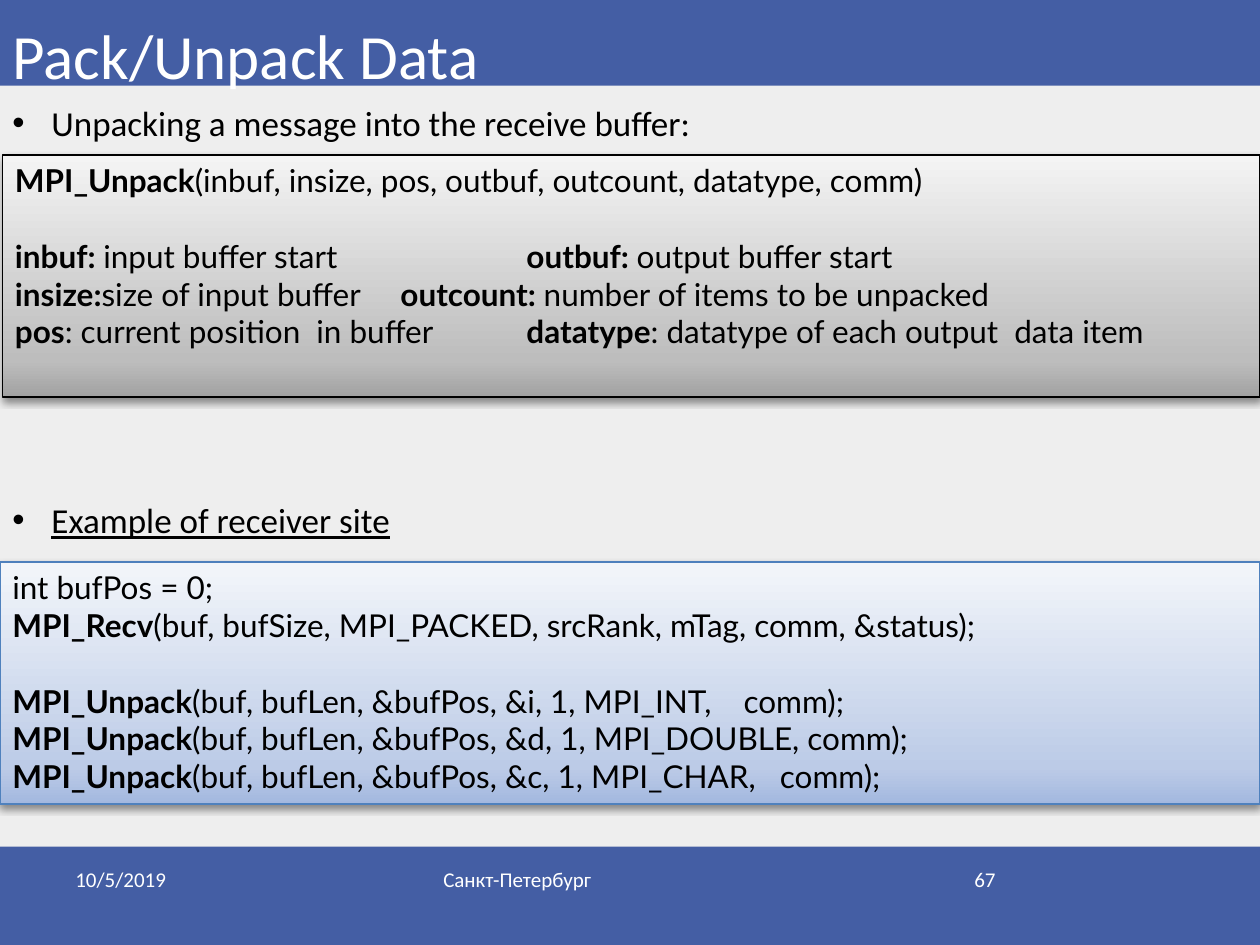
from pptx import Presentation, util as u
from pptx.dml.color import RGBColor
from pptx.enum import shapes, text
from pptx.oxml import parse_xml
from pptx.oxml.ns import nsdecls

BAR = RGBColor(0x44, 0x5E, 0xA4)
PAPER = RGBColor(0xEE, 0xEE, 0xEE)
WHITE = RGBColor(0xFF, 0xFF, 0xFF)
BLACK = RGBColor(0, 0, 0)
BLUE = RGBColor(0x4F, 0x81, 0xBD)
GRAY_STOPS = [(0, "A2A2A2"), (15, "BDBDBD"), (100, "F4F4F4")]
BLUE_STOPS = [(0, "A3B8DF"), (15, "BCCBE7"), (100, "F3F6FA")]

W, H = 10, 7.5
PANEL_H = 1.92
LINE_PT = 21.6  # height of one 18 pt Lato line

TITLE = "Pack/Unpack Data"
BARS = [(0, 0.68), (6.72, 0.78)]  # top, height
BULLETS = [  # text, top, width, underlined
    ("Unpacking a message into the receive buffer:", 0.76, 5.67, False),
    ("Example of receiver site", 3.91, 3.25, True),
]
FOOTER = [  # text, left, width, alignment
    ("10/5/2019", 0.5, 2.33, text.PP_ALIGN.LEFT),
    ("Санкт-Петербург", 3.42, 3.17, text.PP_ALIGN.LEFT),
    ("67", 7.17, 0.83, text.PP_ALIGN.RIGHT),
]
# Each line: lines skipped before it, tab stop, runs alternating bold and regular
SYNTAX = [
    (0, None, ["MPI_Unpack", "(inbuf, insize, pos, outbuf, outcount, datatype, comm)"]),
    (1, 4.06, ["inbuf: ", "input buffer start\t", "outbuf: ", "output buffer start"]),
    (0, 3.06, ["insize:", "size of input buffer\t", "outcount: ",
               "number of items to be unpacked"]),
    (0, 4.06, ["pos", ": current position  in buffer\t", "datatype",
               ": datatype of each output  data item"]),
]
EXAMPLE = [
    (0, None, ["", "int bufPos = 0;"]),
    (0, None, ["MPI_Recv", "(buf, bufSize, MPI_PACKED, srcRank, mTag, comm, &status);"]),
    (1, None, ["MPI_Unpack", "(buf, bufLen, &bufPos, &i, 1, MPI_INT,    comm);"]),
    (0, None, ["MPI_Unpack", "(buf, bufLen, &bufPos, &d, 1, MPI_DOUBLE, comm);"]),
    (0, None, ["MPI_Unpack", "(buf, bufLen, &bufPos, &c, 1, MPI_CHAR,   comm);"]),
]
PANELS = [  # left, top, gradient, line colour, lines
    (0.02, 1.23, GRAY_STOPS, BLACK, SYNTAX),
    (0, 4.46, BLUE_STOPS, BLUE, EXAMPLE),
]


def inches(*values):
    return [u.Inches(v) for v in values]


def style(font, name, size, color):
    font.name, font.size = name, u.Pt(size)
    font.color.rgb = color


def add_rect(s, *box):
    sp = s.shapes.add_shape(shapes.MSO_SHAPE.RECTANGLE, *inches(*box))
    sp.shadow.inherit = False
    return sp


def add_text(s, words, box, size, color):
    """Add a one-paragraph text box and return its frame and paragraph."""
    tf = s.shapes.add_textbox(*inches(*box)).text_frame
    p = tf.paragraphs[0]
    p.text = words
    style(p.runs[0].font, "Calibri", size, color)
    return tf, p


def add_panel(s, left, top, stops, line, lines):
    sp = add_rect(s, left, top, W - left, PANEL_H)
    gs = "".join(f'<a:gs pos="{pos * 1000}"><a:srgbClr val="{c}"/></a:gs>' for pos, c in stops)
    sp.line.color.rgb, sp.line.width = line, u.Pt(1)
    pr = sp._element.spPr
    pr.insert(2, parse_xml(
        f'<a:gradFill {nsdecls("a")} rotWithShape="1"><a:gsLst>{gs}</a:gsLst>'
        '<a:lin ang="16200000" scaled="0"/></a:gradFill>'))
    pr.find("{*}effectLst").append(parse_xml(
        f'<a:outerShdw {nsdecls("a")} blurRad="{u.Pt(4)}" dist="{u.Pt(2)}" dir="5400000" '
        'rotWithShape="0"><a:srgbClr val="000000"><a:alpha val="43000"/></a:srgbClr>'
        '</a:outerShdw>'))
    tf = sp.text_frame
    tf.word_wrap = True
    tf.vertical_anchor = text.MSO_ANCHOR.TOP
    for i, (skipped, tab, parts) in enumerate(lines):
        p = tf.add_paragraph() if i else tf.paragraphs[0]
        p.alignment = text.PP_ALIGN.LEFT
        if skipped:
            p.space_before = u.Pt(skipped * LINE_PT)
        if tab:
            p._p.get_or_add_pPr().append(parse_xml(
                f'<a:tabLst {nsdecls("a")}><a:tab pos="{u.Inches(tab)}" algn="l"/></a:tabLst>'))
        for j, part in enumerate(parts):
            if part:
                r = p.add_run()
                r.text = part
                style(r.font, "Lato", 18, BLACK)
                r.font.bold = j % 2 == 0


def main():
    prs = Presentation()
    prs.slide_width, prs.slide_height = inches(W, H)
    s = prs.slides.add_slide(prs.slide_layouts[5])
    s.background.fill.solid()
    s.background.fill.fore_color.rgb = PAPER

    title = s.shapes.title
    for top, height in BARS:
        sp = add_rect(s, 0, top, W, height)
        sp.fill.solid()
        sp.fill.fore_color.rgb = BAR
        sp.line.fill.background()
        title._element.addprevious(sp._element)

    title.left, title.top, title.width, title.height = inches(0, -0.11, W, 0.89)
    tf = title.text_frame
    tf.text = TITLE
    tf.vertical_anchor = text.MSO_ANCHOR.BOTTOM
    tf.paragraphs[0].alignment = text.PP_ALIGN.LEFT
    style(tf.paragraphs[0].runs[0].font, "Calibri", 36, WHITE)

    for words, left, width, align in FOOTER:
        tf, p = add_text(s, words, (left, 6.83, width, 0.52), 12, WHITE)
        tf.word_wrap = True
        p.alignment = align

    for panel in PANELS:
        add_panel(s, *panel)

    for words, top, width, underlined in BULLETS:
        tf, p = add_text(s, words, (0, top, width, 0.44), 20, BLACK)
        tf.word_wrap = False
        pPr = p._p.get_or_add_pPr()
        pPr.set("marL", str(u.Inches(0.31)))
        pPr.set("indent", str(-u.Inches(0.31)))
        pPr.append(parse_xml(f'<a:buFont {nsdecls("a")} typeface="Arial"/>'))
        pPr.append(parse_xml(f'<a:buChar {nsdecls("a")} char="•"/>'))
        p.runs[0].font.underline = underlined

    prs.save("out.pptx")


if __name__ == "__main__":
    main()
